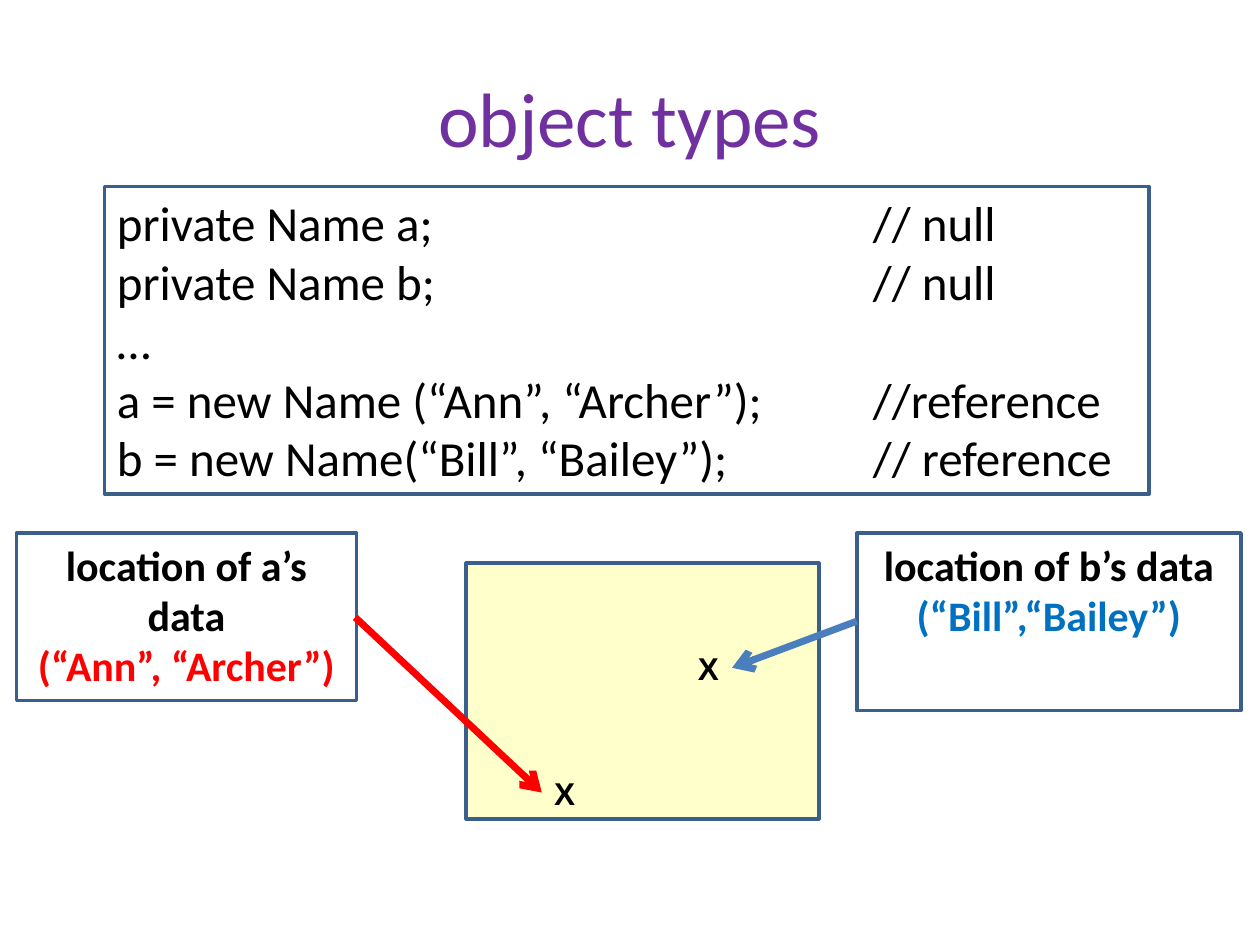
"""Build the slide on object types and the references they hold."""
from lxml.etree import SubElement
from pptx import Presentation
from pptx.dml.color import RGBColor
from pptx.enum.shapes import MSO_CONNECTOR as Connector, MSO_SHAPE as Shape
from pptx.enum.text import MSO_ANCHOR as Anchor, MSO_AUTO_SIZE as AutoSize, PP_ALIGN as Align
from pptx.oxml.ns import qn
from pptx.util import Inches, Pt

THEME = {
    "font": "Calibri", "mark_font": "Arial",
    "title_size": 44, "code_size": 28, "label_size": 24, "mark_size": 18,
    "title": "7030A0", "text": "000000", "paper": "FFFFFF", "memory": "FFFFCC",
    "border": "3A5F8C", "red": "FF0000", "blue": "0070C0", "blue_arrow": "4B7EBC",
    "border_width": 2, "arrow_width": 4,
}

TITLE = "object types"
CODE = [
    "private Name a;\t// null",
    "private Name b;\t// null",
    "…",
    "a = new Name (“Ann”, “Archer”);\t//reference",
    "b = new Name(“Bill”, “Bailey”);\t// reference",
]
COMMENT_TAB = 6
TITLE_AREA = (0.5, 0.3, 9, 1.25)
MEMORY_AREA = (3.7, 4.47, 2.8, 2.03)
CODE_AREA = (0.83, 1.48, 8.29, 2.44)
REFERENCES = [
    {"lines": ["location of a’s data", "(“Ann”, “Archer”)"], "area": (0.13, 4.23, 2.7, 1.33),
     "color": "red", "arrow_color": "red", "mark": (4.3, 6.09), "arrow": (2.82, 4.9, 4.3, 6.29)},
    {"lines": ["location of b’s data", "(“Bill”,“Bailey”)"], "area": (6.8, 4.23, 3.05, 1.41),
     "color": "blue", "arrow_color": "blue_arrow", "mark": (5.44, 5.1), "arrow": (6.8, 4.93, 5.81, 5.3)},
]
MARK_SIZE = (0.37, 0.4)


def inches(values):
    return [Inches(value) for value in values]


def color(name):
    return RGBColor.from_string(THEME[name])


def write(frame, lines, size, colors, font="font", bold=False, align=Align.LEFT):
    frame.text = "\n".join(lines)
    for para, color_name in zip(frame.paragraphs, colors):
        para.alignment = align
        for span in para.runs:
            span.font.name = THEME[font]
            span.font.size = Pt(THEME[size])
            span.font.bold = bold
            span.font.color.rgb = color(color_name)


def add_box(slide, area, fill):
    box = slide.shapes.add_shape(Shape.RECTANGLE, *inches(area))
    box.shadow.inherit = False
    box.fill.solid()
    box.fill.fore_color.rgb = color(fill)
    box.line.color.rgb = color("border")
    box.line.width = Pt(THEME["border_width"])
    box.text_frame.vertical_anchor = Anchor.TOP
    return box


def add_code(slide):
    frame = add_box(slide, CODE_AREA, "paper").text_frame
    write(frame, CODE, "code_size", ["text"] * len(CODE))
    for para in frame.paragraphs:
        tabs = SubElement(para._p.get_or_add_pPr(), qn("a:tabLst"))
        SubElement(tabs, qn("a:tab"), pos=str(Inches(COMMENT_TAB)), algn="l")


def add_mark(slide, position):
    frame = slide.shapes.add_textbox(*inches(position + MARK_SIZE)).text_frame
    frame.word_wrap = False
    frame.auto_size = AutoSize.SHAPE_TO_FIT_TEXT
    write(frame, ["X"], "mark_size", ["text"], font="mark_font", bold=True)


def add_arrow(slide, ends, color_name):
    arrow = slide.shapes.add_connector(Connector.STRAIGHT, *inches(ends))
    arrow.line.color.rgb = color(color_name)
    arrow.line.width = Pt(THEME["arrow_width"])
    SubElement(arrow.line._get_or_add_ln(), qn("a:tailEnd"), type="arrow")
    SubElement(arrow._element.spPr, qn("a:effectLst"))


def main():
    deck = Presentation()
    deck.slide_width, deck.slide_height = Inches(10), Inches(7.5)
    slide = deck.slides.add_slide(deck.slide_layouts[5])
    add_box(slide, MEMORY_AREA, "memory")
    title = slide.shapes.title
    title.left, title.top, title.width, title.height = inches(TITLE_AREA)
    write(title.text_frame, [TITLE], "title_size", ["title"], align=Align.CENTER)
    add_code(slide)
    for reference in REFERENCES:
        label = add_box(slide, reference["area"], "paper")
        write(label.text_frame, reference["lines"], "label_size", ["text", reference["color"]],
              bold=True, align=Align.CENTER)
    for reference in REFERENCES:
        add_mark(slide, reference["mark"])
        add_arrow(slide, reference["arrow"], reference["arrow_color"])
    deck.save("out.pptx")


if __name__ == "__main__":
    main()
